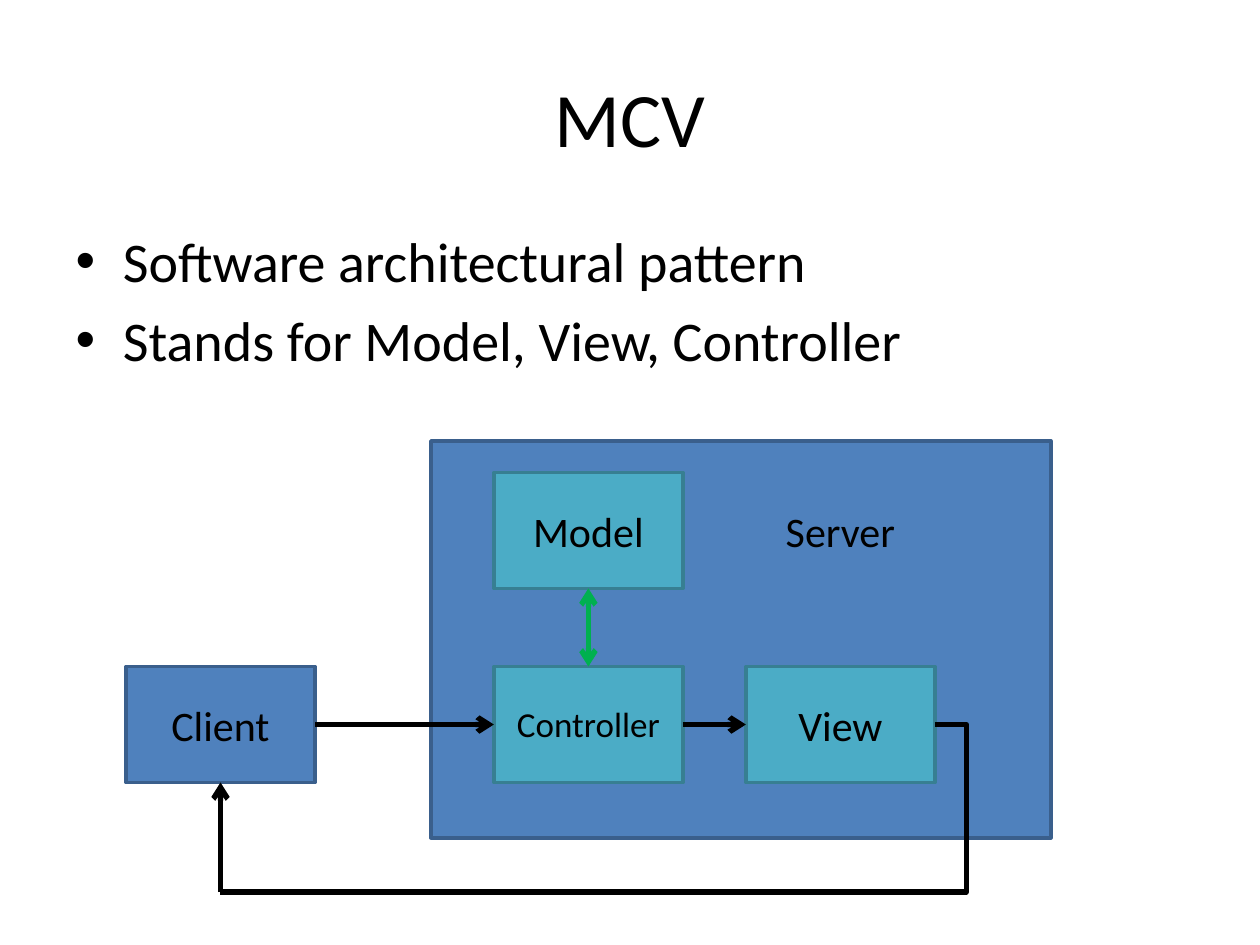
from collections import namedtuple
from lxml.etree import SubElement
from pptx import Presentation
from pptx.dml.color import RGBColor
from pptx.enum.shapes import MSO_CONNECTOR as Link, MSO_SHAPE as Preset
from pptx.enum.text import MSO_ANCHOR as Anchor, MSO_AUTO_SIZE as AutoSize, PP_ALIGN as Align
from pptx.oxml.ns import qn
from pptx.util import Inches, Pt

BLACK = RGBColor(0x00, 0x00, 0x00)
BLUE = RGBColor(0x4F, 0x81, 0xBD)
BLUE_EDGE = RGBColor(0x3A, 0x5F, 0x8C)
TEAL = RGBColor(0x4B, 0xAC, 0xC6)
TEAL_EDGE = RGBColor(0x37, 0x7F, 0x92)
GREEN = RGBColor(0x00, 0xB0, 0x50)

Box = namedtuple("Box", "left top width height")
TOP, LEFT, BOTTOM, RIGHT = range(4)
NODE_WIDTH, NODE_HEIGHT = 1.5, 0.92
COLUMNS = {"client": 0, "control": 2.92, "view": 4.92}
ROWS = {"upper": 0.25, "lower": 1.79}


def inches(*lengths):
    return [Inches(length) for length in lengths]


def style_text(paragraph, size, align):
    paragraph.alignment = align
    for run in paragraph.runs:
        for key, value in {"name": "Calibri", "size": Pt(size)}.items():
            setattr(run.font, key, value)
        run.font.color.rgb = BLACK


def fill_placeholder(holder, box, lines, size, align):
    for key, length in box._asdict().items():
        setattr(holder, key, Inches(length))
    holder.text_frame.text = "\n".join(lines)
    for paragraph in holder.text_frame.paragraphs:
        style_text(paragraph, size, align)


def add_block(slide, box, fill, edge):
    block = slide.shapes.add_shape(Preset.RECTANGLE, *inches(*box))
    block.shadow.inherit = False
    block.fill.solid()
    block.fill.fore_color.rgb = fill
    block.line.color.rgb = edge
    block.line.width = Pt(2)
    return block


def add_label(slide, box, text, size=24):
    height = 0.5 if size == 24 else 0.44
    top = box.top + (box.height - height) / 2
    frame = slide.shapes.add_textbox(*inches(box.left, top, box.width, height)).text_frame
    frame.word_wrap = True
    frame.auto_size = AutoSize.SHAPE_TO_FIT_TEXT
    frame.text = text
    style_text(frame.paragraphs[0], size, Align.CENTER)


def add_link(slide, start, end, kind=Link.STRAIGHT, color=BLACK, arrows=("tailEnd",)):
    link = slide.shapes.add_connector(kind, *inches(*start, *end))
    link.line.color.rgb = color
    link.line.width = Pt(3)
    for arrow in arrows:
        SubElement(link.line._get_or_add_ln(), qn(f"a:{arrow}"), type="arrow")
    SubElement(link._element.spPr, qn("a:effectLst"))
    return link


def join(slide, source, source_side, target, target_side, **style):
    link = add_link(slide, (0, 0), (0, 0), **style)
    link.begin_connect(source, source_side)
    link.end_connect(target, target_side)


def add_return_path(slide, view_box, client_box, client, bottom, detour):
    start = (view_box.left + view_box.width, view_box.top + view_box.height / 2)
    corner = (client_box.left + client_box.width / 2, bottom)
    bend = add_link(slide, start, corner, kind=Link.ELBOW, arrows=())
    adjust = -round(detour / (start[0] - corner[0]) * 100000)
    guides = bend._element.spPr.find(qn("a:prstGeom")).get_or_add_avLst()
    SubElement(guides, qn("a:gd"), name="adj1", fmla=f"val {adjust}")
    rise = add_link(slide, corner, (corner[0], client_box.top + client_box.height))
    rise.end_connect(client, BOTTOM)


def draw_architecture(slide, area):
    def cell(column, row):
        return Box(area.left + COLUMNS[column], area.top + ROWS[row], NODE_WIDTH, NODE_HEIGHT)

    add_block(slide, Box(area.left + 2.42, area.top, 4.92, 3.15), BLUE, BLUE_EDGE)
    client_box, view_box = cell("client", "lower"), cell("view", "lower")
    control_box, model_box = cell("control", "lower"), cell("control", "upper")
    client = add_block(slide, client_box, BLUE, BLUE_EDGE)
    controller, view, model = [
        add_block(slide, box, TEAL, TEAL_EDGE) for box in (control_box, view_box, model_box)
    ]

    join(slide, client, RIGHT, controller, LEFT)
    join(slide, controller, RIGHT, view, LEFT)
    join(slide, model, BOTTOM, controller, TOP, color=GREEN, arrows=("headEnd", "tailEnd"))
    add_return_path(slide, view_box, client_box, client, area.top + area.height, 0.25)

    add_label(slide, client_box, "Client")
    add_label(slide, model_box, "Model")
    add_label(slide, control_box, "Controller", 20)
    add_label(slide, view_box, "View")
    add_label(slide, cell("view", "upper"), "Server")


def main():
    deck = Presentation()
    deck.slide_width, deck.slide_height = inches(10, 7.5)
    slide = deck.slides.add_slide(deck.slide_layouts[1])
    title, body = slide.placeholders
    fill_placeholder(title, Box(0.5, 0.3, 9, 1.25), ["MCV"], 44, Align.CENTER)
    title.text_frame.vertical_anchor = Anchor.MIDDLE
    points = ["Software architectural pattern", "Stands for Model, View, Controller"]
    fill_placeholder(body, Box(0.5, 1.75, 9, 4.95), points, 32, Align.LEFT)
    draw_architecture(slide, Box(1, 3.5, 7.34, 3.58))
    deck.save("out.pptx")


if __name__ == "__main__":
    main()
